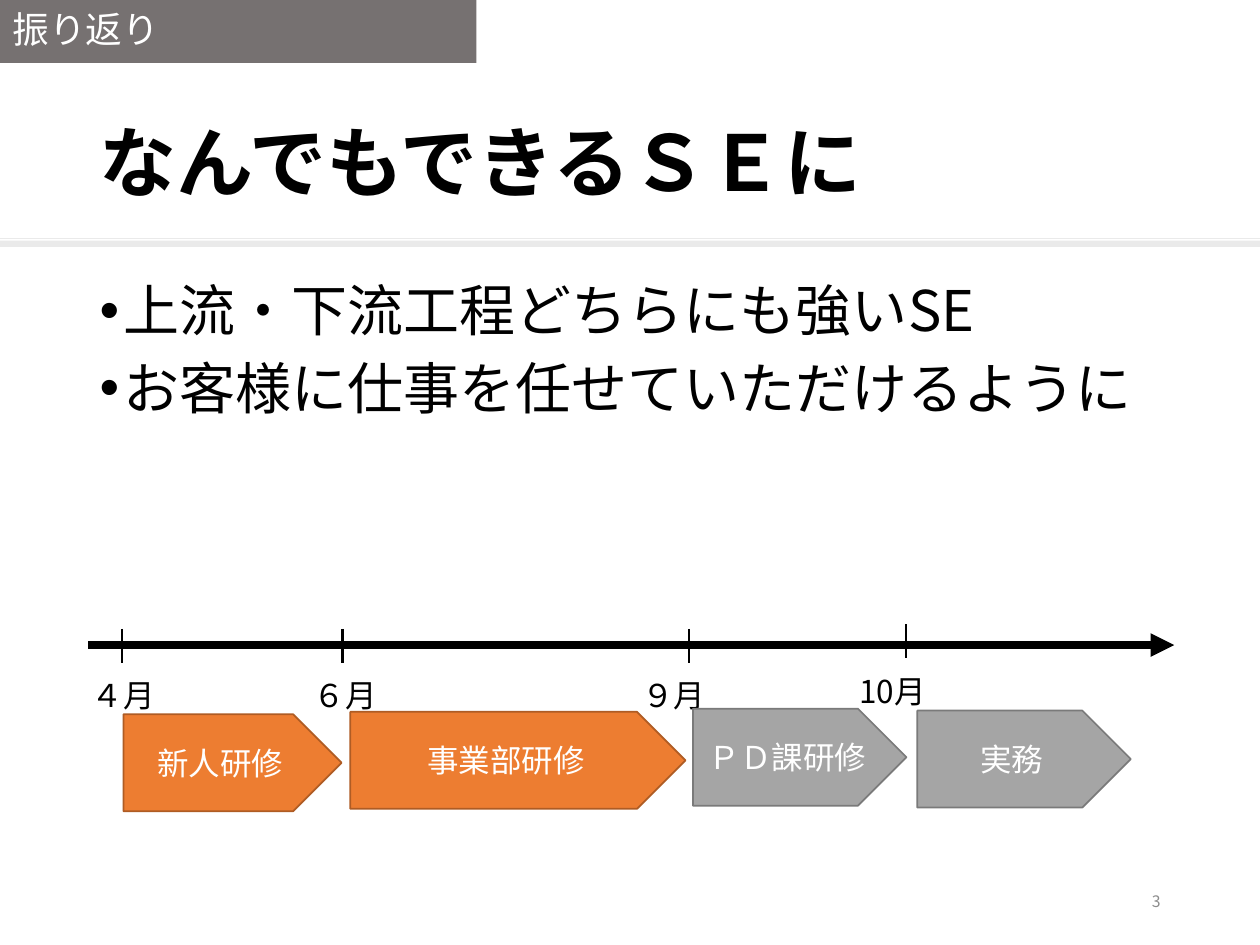
"""Build the review slide with its goals and training timeline."""
from pptx import Presentation
from pptx import util as u
from pptx.dml.color import RGBColor
from pptx.enum import shapes, text
from pptx.oxml import parse_xml
from pptx.oxml.ns import nsdecls, qn

Pt = u.Pt
FONT = "Noto Sans CJK JP"
COLORS = {
    "ink": "000000", "white": "FFFFFF", "rule": "EAEAEA", "tab": "767171",
    "done": "ED7D31", "done_line": "AF5C24",
    "next": "A5A5A5", "next_line": "7A7A7A", "number": "8C8C8C",
}
RGB = {name: RGBColor.from_string(value) for name, value in COLORS.items()}
MIDDLE = text.MSO_ANCHOR.MIDDLE
LEFT, CENTER, RIGHT = text.PP_ALIGN.LEFT, text.PP_ALIGN.CENTER, text.PP_ALIGN.RIGHT


def write(sp, lines, size, color, anchor=text.MSO_ANCHOR.TOP, bold=False, bullet=False, **fmt):
    tf = sp.text_frame
    frame = {"word_wrap": True, "auto_size": text.MSO_AUTO_SIZE.NONE, "vertical_anchor": anchor}
    for key, value in frame.items():
        setattr(tf, key, value)
    for i, line in enumerate(lines):
        p = tf.paragraphs[0] if i == 0 else tf.add_paragraph()
        for key, value in {"alignment": LEFT, "space_before": Pt(0), **fmt}.items():
            setattr(p, key, value)
        if bullet:
            pPr = p._p.get_or_add_pPr()
            pPr.set("marL", str(Pt(13.5)))
            pPr.set("indent", str(Pt(-13.5)))
            pPr.append(parse_xml(f'<a:buFont {nsdecls("a")} typeface="Arial"/>'))
            pPr.append(parse_xml(f'<a:buChar {nsdecls("a")} char="•"/>'))
        r = p.add_run()
        r.text = line
        for key, value in {"name": FONT, "size": Pt(size), "bold": bold}.items():
            setattr(r.font, key, value)
        r.font.color.rgb = RGB[color]
        latin = r._r.get_or_add_rPr().find(qn("a:latin"))
        latin.addnext(parse_xml(f'<a:ea {nsdecls("a")} typeface="{FONT}"/>'))


def draw_line(x1, y1, x2, y2, color, width):
    ln = s.shapes.add_connector(shapes.MSO_CONNECTOR.STRAIGHT, Pt(x1), Pt(y1), Pt(x2), Pt(y2))
    ln.line.color.rgb = RGB[color]
    ln.line.width = Pt(width)
    ln._element.spPr.append(parse_xml(f'<a:effectLst {nsdecls("a")}/>'))
    return ln


prs = Presentation()
prs.slide_width, prs.slide_height = Pt(720), Pt(540)
s = prs.slides.add_slide(prs.slide_layouts[1])
title, body = s.placeholders

draw_line(0, 136.1, 720, 136.1, "rule", 0.75)
bars = [(0, 137.5, 720, 3.6, "rule"), (0, 0, 272.2, 36, "tab")]
for x, y, w, h, color in bars:
    sp = s.shapes.add_shape(shapes.MSO_SHAPE.RECTANGLE, Pt(x), Pt(y), Pt(w), Pt(h))
    sp.shadow.inherit = False
    sp.fill.solid()
    sp.fill.fore_color.rgb = RGB[color]
    sp.line.fill.background()
write(sp, ["振り返り"], 21, "white", MIDDLE, line_spacing=0.9)

for sp, y, h in [(title, 56.9, 76.3), (body, 154.1, 342.7)]:
    sp.left, sp.top, sp.width, sp.height = Pt(49.7), Pt(y), Pt(620.6), Pt(h)
write(title, ["なんでもできるＳＥに"], 44, "ink", MIDDLE, bold=True, line_spacing=0.9)
goals = ["上流・下流工程どちらにも強いSE", "お客様に仕事を任せていただけるように"]
write(body, goals, 32, "ink", bullet=True, line_spacing=1.0, space_after=Pt(6))

axis = draw_line(50.4, 368.6, 671, 368.6, "ink", 4.5)
axis.line._get_or_add_ln().append(parse_xml(f'<a:tailEnd {nsdecls("a")} type="triangle"/>'))

months = [
    ("４月", 69.8, 45.4, 0), ("６月", 195.8, 172.1, 0),
    ("９月", 393.8, 360, 0), ("10月", 517.7, 483.8, -2.5),
]
for month, x, label_x, dy in months:
    draw_line(x, 359.3 + dy, x, 378.7 + dy, "ink", 1.5)
    sp = s.shapes.add_textbox(Pt(label_x), Pt(383 + dy), Pt(72.7), Pt(29))
    write(sp, [month], 18, "ink")

stages = [
    ("新人研修", 70.6, 408.2, 124.6, "done"), ("事業部研修", 200.2, 406.8, 191.5, "done"),
    ("ＰＤ課研修", 396, 405, 122, "next"), ("実務", 524.2, 406.1, 122, "next"),
]
for stage, x, y, w, status in stages:
    sp = s.shapes.add_shape(shapes.MSO_SHAPE.PENTAGON, Pt(x), Pt(y), Pt(w), Pt(55.4))
    sp.shadow.inherit = False
    sp.fill.solid()
    sp.fill.fore_color.rgb = RGB[status]
    sp.line.color.rgb = RGB[f"{status}_line"]
    sp.line.width = Pt(1)
    write(sp, [stage], 18, "white", MIDDLE, alignment=CENTER)

number = s.shapes.add_textbox(Pt(508.3), Pt(500.4), Pt(162), Pt(28.8))
write(number, ["3"], 9, "number", MIDDLE, alignment=RIGHT)

prs.save("out.pptx")
